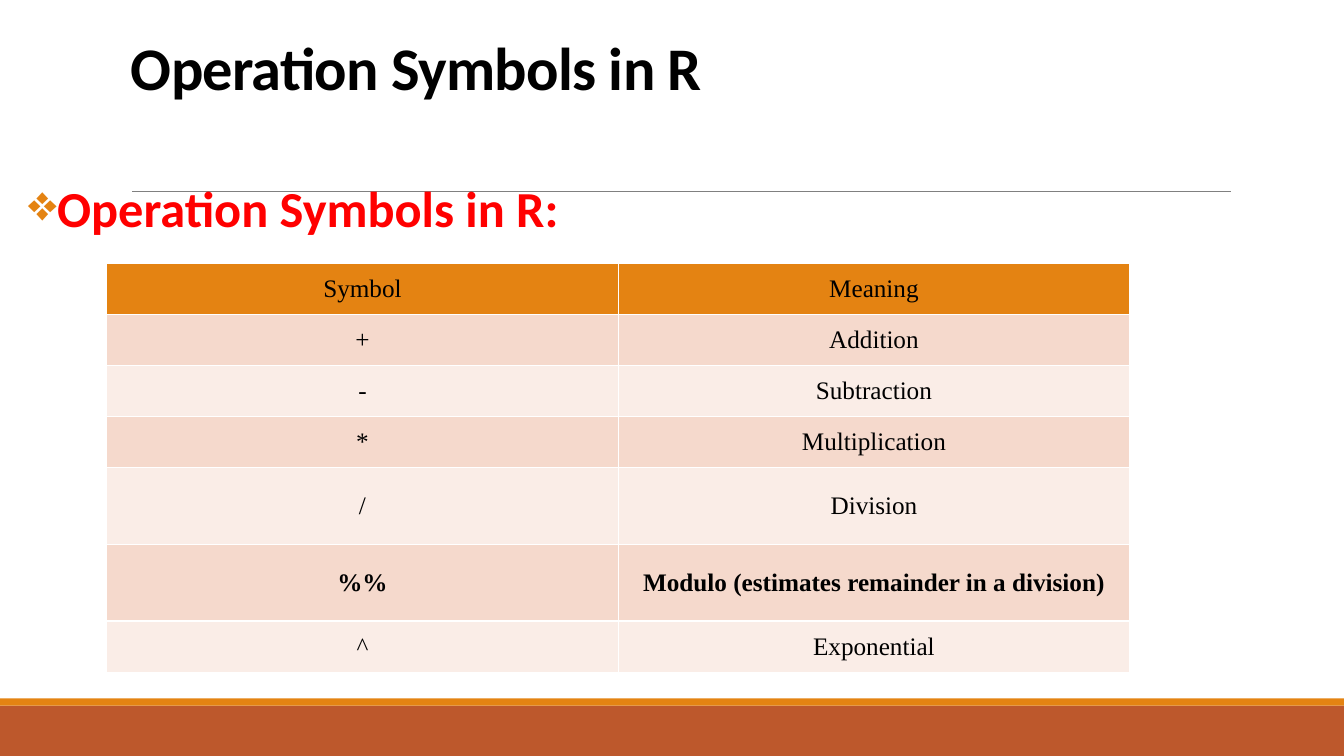
from lxml import etree
from pptx import Presentation
from pptx.dml.color import RGBColor
from pptx.enum.shapes import MSO_CONNECTOR, MSO_SHAPE
from pptx.enum.text import MSO_ANCHOR, PP_ALIGN
from pptx.oxml.ns import qn
from pptx.util import Cm, Pt

RECT = MSO_SHAPE.RECTANGLE
LINE = MSO_CONNECTOR.STRAIGHT
TOP, MIDDLE, BOTTOM = MSO_ANCHOR.TOP, MSO_ANCHOR.MIDDLE, MSO_ANCHOR.BOTTOM
CENTER = PP_ALIGN.CENTER

RUST = RGBColor(0xBD, 0x58, 0x2C)
ORANGE = RGBColor(0xE4, 0x83, 0x12)
GRAY = RGBColor(0x80, 0x80, 0x80)
BLACK = RGBColor(0, 0, 0)
RED = RGBColor(0xFF, 0, 0)
WHITE = RGBColor(0xFF, 0xFF, 0xFF)
PEACH = RGBColor(0xF5, 0xD9, 0xCC)
PALE = RGBColor(0xFA, 0xED, 0xE7)

WIDTH, HEIGHT = 33.87, 19.05
ROWS = [
    ("Symbol", "Meaning"),
    ("+", "Addition"),
    ("-", "Subtraction"),
    ("*", "Multiplication"),
    ("/", "Division"),
    ("%%", "Modulo (estimates remainder in a division)"),
    ("^", "Exponential"),
]
TALL = ("/", "%%")
BOLD = ("%%",)


def add_band(slide, top, height, color):
    band = slide.shapes.add_shape(RECT, 0, Cm(top), Cm(WIDTH), Cm(height))
    band.shadow.inherit = False
    band.fill.solid()
    band.fill.fore_color.rgb = color
    band.line.fill.background()


def add_rule(slide, left, right, y):
    rule = slide.shapes.add_connector(LINE, Cm(left), Cm(y), Cm(right), Cm(y))
    rule.line.color.rgb = GRAY
    rule.line.width = Pt(0.5)
    etree.SubElement(rule._element.spPr, qn("a:effectLst"))


def style(para, name, size, color, bold):
    for run in para.runs:
        font = run.font
        font.name, font.size, font.bold = name, Pt(size), bold
        font.color.rgb = color


def add_text(slide, text, box, size, color, space, anchor, inset):
    frame = slide.shapes.add_textbox(*map(Cm, box)).text_frame
    frame.word_wrap = True
    frame.vertical_anchor = anchor
    frame.margin_left = frame.margin_right = Cm(inset)
    frame.text = text
    para = frame.paragraphs[0]
    para.line_spacing = space
    style(para, "Calibri", size, color, True)
    return para


def add_bullet(para, mark, color):
    para.space_before = Pt(12)
    para.space_after = Pt(2)
    props = para._p.get_or_add_pPr()
    props.set("marL", str(Cm(0.25)))
    props.set("indent", str(-Cm(0.25)))
    tint = etree.SubElement(props, qn("a:buClr"))
    etree.SubElement(tint, qn("a:srgbClr"), val=str(color))
    etree.SubElement(props, qn("a:buChar"), char=mark)


def add_edges(cell, color):
    props = cell._tc.get_or_add_tcPr()
    for spot, side in enumerate(("lnL", "lnR", "lnT", "lnB")):
        edge = etree.Element(qn("a:" + side), w=str(Pt(1)))
        fill = etree.SubElement(edge, qn("a:solidFill"))
        etree.SubElement(fill, qn("a:srgbClr"), val=str(color))
        props.insert(spot, edge)


def fill_cell(cell, text, color, bold):
    cell.text = text
    cell.vertical_anchor = MIDDLE
    cell.margin_left = cell.margin_right = Cm(0.18)
    cell.margin_top = cell.margin_bottom = 0
    cell.fill.solid()
    cell.fill.fore_color.rgb = color
    add_edges(cell, WHITE)
    para = cell.text_frame.paragraphs[0]
    para.alignment = CENTER
    style(para, "Times New Roman", 18, BLACK, bold)


def add_grid(slide, rows, left, top, width):
    sizes = [1.93 if row[0] in TALL else 1.29 for row in rows]
    frame = slide.shapes.add_table(
        len(rows), len(rows[0]), Cm(left), Cm(top), Cm(width), Cm(sum(sizes)))
    table = frame.table
    for i, row in enumerate(rows):
        table.rows[i].height = Cm(sizes[i])
        color = ORANGE if i == 0 else PEACH if i % 2 else PALE
        for j, text in enumerate(row):
            fill_cell(table.cell(i, j), text, color, row[0] in BOLD)


def main():
    deck = Presentation()
    deck.slide_width, deck.slide_height = Cm(WIDTH), Cm(HEIGHT)
    slide = deck.slides.add_slide(deck.slide_layouts[6])
    add_band(slide, 17.78, 1.27, RUST)
    add_band(slide, 17.6, 0.18, ORANGE)
    add_rule(slide, 3.33, 31.01, 4.82)
    title = add_text(slide, "Operation Symbols in R", (3.05, 0.79, 27.94, 1.93),
                     43.2, BLACK, 0.85, BOTTOM, 0.25)
    title.runs[0].font._element.set("spc", "-50")
    head = add_text(slide, "Operation Symbols in R:", (0.71, 4.52, 30.28, 13.03),
                    36, RED, 0.9, TOP, 0)
    add_bullet(head, "❖", ORANGE)
    add_grid(slide, ROWS, 2.69, 6.63, 25.78)
    deck.save("out.pptx")


if __name__ == "__main__":
    main()
